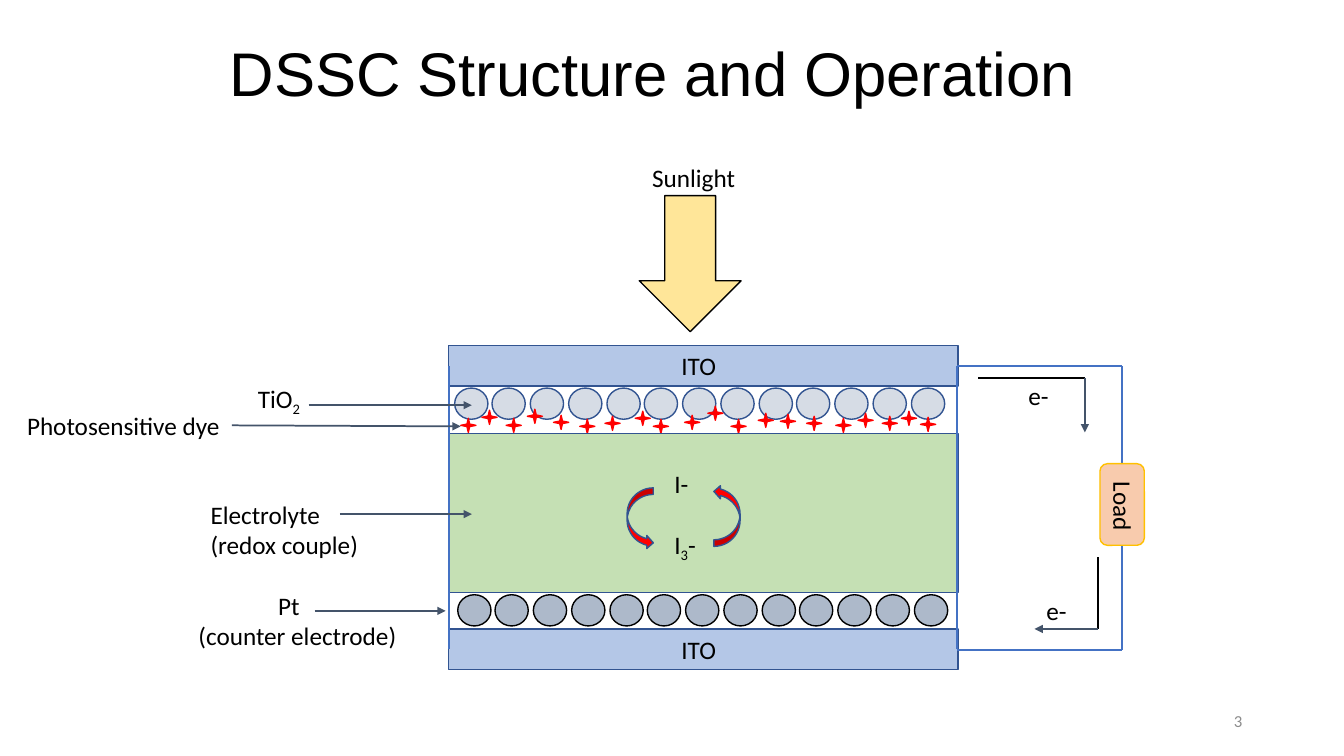
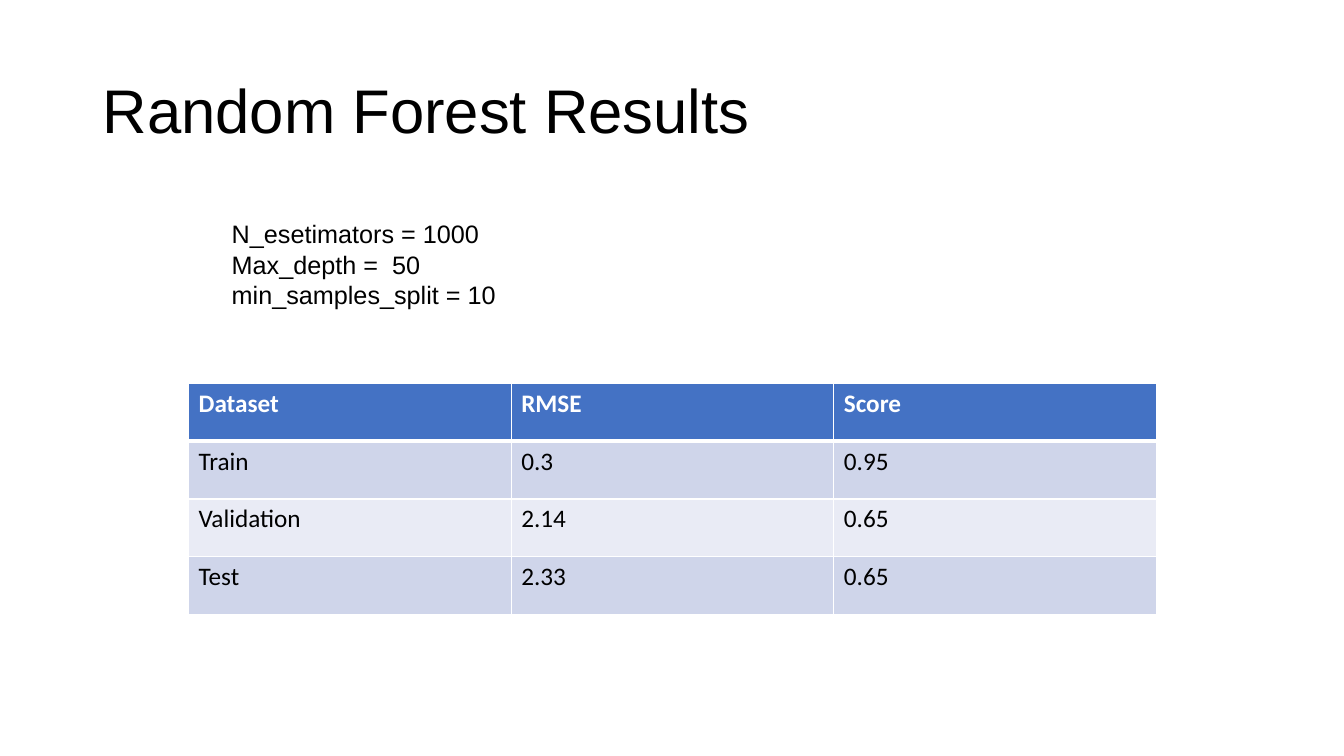
import pptx
import pptx.dml.color
import pptx.enum.shapes
import pptx.enum.text
import pptx.oxml.ns
import pptx.util
from lxml import etree

PX = 9144  # EMU per px, 100 px to the inch
BLACK, WHITE = "000000", "FFFFFF"
NAVY, BLUE, SLATE, RED = "325491", "4472C4", "44546A", "FF0000"
TITLE = {"size": 44, "font": "Arial"}

color = pptx.dml.color.RGBColor.from_string
qn = pptx.oxml.ns.qn
MSO = pptx.enum.shapes.MSO_SHAPE
ANCHOR = pptx.enum.text.MSO_ANCHOR
ALIGN = pptx.enum.text.PP_ALIGN


def add_shape(s, kind, box, fill, line):
    sp = s.shapes.add_shape(kind, *(v * PX for v in box))
    sp.shadow.inherit = False
    sp.fill.solid()
    sp.fill.fore_color.rgb = color(fill)
    sp.line.color.rgb = color(line)
    sp.line.width = pptx.util.Pt(1)
    return sp


def add_text(s, box, text, size=18, font="Calibri", ink=BLACK, anchor=ANCHOR.TOP,
             align=ALIGN.LEFT):
    """Add a text box; text between a pair of bars is set as subscript."""
    sp = s.shapes.add_textbox(*(v * PX for v in box))
    tf = sp.text_frame
    tf.word_wrap = True
    tf.vertical_anchor = anchor
    for i, row in enumerate(text.split("\n")):
        p = tf.add_paragraph() if i else tf.paragraphs[0]
        p.alignment = align
        p.font.size = pptx.util.Pt(size)
        p.font.name = font
        p.font.color.rgb = color(ink)
        for j, part in enumerate(row.split("|")):
            if part:
                r = p.add_run()
                r.text = part
                if j % 2:
                    r._r.get_or_add_rPr().set("baseline", "-25000")
    return sp


prs = pptx.Presentation()
prs.slide_width, prs.slide_height = 1333 * PX, 750 * PX
blank = prs.slide_layouts[6]

# Slide 1: cell structure
s = prs.slides.add_slide(blank)
add_text(s, (218, 30, 962, 84), "DSSC Structure and Operation", **TITLE)

CELL_X, CELL_W, CELL_R = 445, 505, 949
for y in (343, 624):
    add_shape(s, MSO.RECTANGLE, (CELL_X, y, CELL_W, 40), "B4C7E7", NAVY)
    add_text(s, (666, y, 151, 40), "ITO")

PARTICLES = 13
for x, y, fill, line in ((451, 385, "D6DCE5", NAVY), (454, 590, "ADB9CA", BLACK)):
    for i in range(PARTICLES):
        add_shape(s, MSO.OVAL, (x + 453 * i // (PARTICLES - 1), y, 33, 31), fill, line)

dye_spots = [
    (457, 415), (478, 407), (502, 415), (523, 406), (549, 412), (575, 416), (600, 413),
    (630, 408), (648, 416), (679, 412), (702, 403), (725, 416), (752, 410), (774, 411),
    (800, 413), (829, 415), (851, 410), (875, 413), (894, 408), (913, 414),
]
for x, y in dye_spots:
    add_shape(s, MSO.STAR_4_POINT, (x, y, 15, 14), RED, RED)

add_shape(s, MSO.RECTANGLE, (CELL_X, 430, CELL_W, 158), "C5E0B4", NAVY)
add_shape(s, MSO.DOWN_ARROW, (634, 194, 101, 135), "FFE699", BLACK)
add_shape(s, MSO.CURVED_RIGHT_ARROW, (622, 484, 26, 61), RED, NAVY)
add_shape(s, MSO.CURVED_RIGHT_ARROW, (708, 481, 26, 61), RED, NAVY).rotation = 180

WIRE_X = 1113
lines = [  # x1, y1, x2, y2, colour, arrowhead
    (CELL_X, 363, CELL_X, 644, BLUE, False),
    (CELL_R, 363, CELL_R, 644, BLUE, False),
    (CELL_R, 363, WIRE_X, 363, BLUE, False),
    (WIRE_X, 363, WIRE_X, 461, BLUE, False),
    (WIRE_X, 541, WIRE_X, 645, BLUE, False),
    (CELL_R, 645, WIRE_X, 645, BLUE, False),
    (306, 402, 468, 402, SLATE, True),
    (230, 422, 457, 423, SLATE, True),
    (337, 510, 468, 510, SLATE, True),
    (312, 606, 442, 606, SLATE, True),
    (970, 375, 1076, 375, BLACK, False),
    (1076, 375, 1076, 429, SLATE, True),
    (1089, 553, 1089, 624, BLACK, False),
    (1089, 624, 1026, 624, SLATE, True),
]
for *ends, ink, arrow in lines:
    c = s.shapes.add_connector(pptx.enum.shapes.MSO_CONNECTOR.STRAIGHT,
                               *(v * PX for v in ends))
    c.line.color.rgb = color(ink)
    c.line.width = pptx.util.Pt(1.25)
    if arrow:
        etree.SubElement(c.line._get_or_add_ln(), qn("a:tailEnd"), type="triangle")
    etree.SubElement(c._element.spPr, qn("a:effectLst"))

add_shape(s, MSO.ROUNDED_RECTANGLE, (1091, 460, 44, 81), "F8CBAD", "FFC000")
add_text(s, (1072, 490, 84, 40), "Load").rotation = 90

labels = [
    (637, 156, 119, "Sunlight"),
    (246, 375, 84, "TiO|2|"),
    (17, 402, 246, "Photosensitive dye"),
    (199, 490, 172, "Electrolyte\n(redox couple)"),
    (266, 581, 60, "Pt"),
    (187, 611, 248, "(counter electrode)"),
    (659, 460, 80, "I-"),
    (659, 520, 80, "I|3|-"),
    (1010, 372, 45, "e-"),
    (1028, 586, 45, "e-"),
]
for x, y, w, text in labels:
    add_text(s, (x, y, w, 40), text)

add_text(s, (942, 695, 300, 40), "3", size=12, ink="8C8C8C",
         anchor=ANCHOR.MIDDLE, align=ALIGN.RIGHT)

# Slide 2: model results
s = prs.slides.add_slide(blank)
sp = add_text(s, (92, 40, 1150, 145), "Random Forest Results", anchor=ANCHOR.MIDDLE, **TITLE)
sp.text_frame.paragraphs[0].line_spacing = 0.9
add_text(s, (220, 212, 661, 101),
         "N_esetimators = 1000\nMax_depth =  50\nmin_samples_split = 10", font="Arial")

results = [
    ("Dataset", "RMSE", "Score"),
    ("Train", "0.3", "0.95"),
    ("Validation", "2.14", "0.65"),
    ("Test", "2.33", "0.65"),
]
row_fills = (BLUE, "CFD5EA", "E9EBF5", "CFD5EA")
table = s.shapes.add_table(4, 3, 187 * PX, 380 * PX, 960 * PX, 230 * PX).table
for i, row in enumerate(results):
    for j, value in enumerate(row):
        cell = table.cell(i, j)
        cell.text = value
        p = cell.text_frame.paragraphs[0]
        p.font.size = pptx.util.Pt(18)
        p.font.name = "Calibri"
        p.font.bold = i == 0
        p.font.color.rgb = color(BLACK if i else WHITE)
        for side in ("L", "R", "T", "B"):
            heavy = (i, side) in ((0, "B"), (1, "T"))
            ln = etree.SubElement(cell._tc.get_or_add_tcPr(), qn("a:ln" + side),
                                  w=str(pptx.util.Pt(3 if heavy else 1)))
            etree.SubElement(etree.SubElement(ln, qn("a:solidFill")),
                             qn("a:srgbClr"), val=WHITE)
        cell.fill.solid()
        cell.fill.fore_color.rgb = color(row_fills[i])

prs.save("out.pptx")
